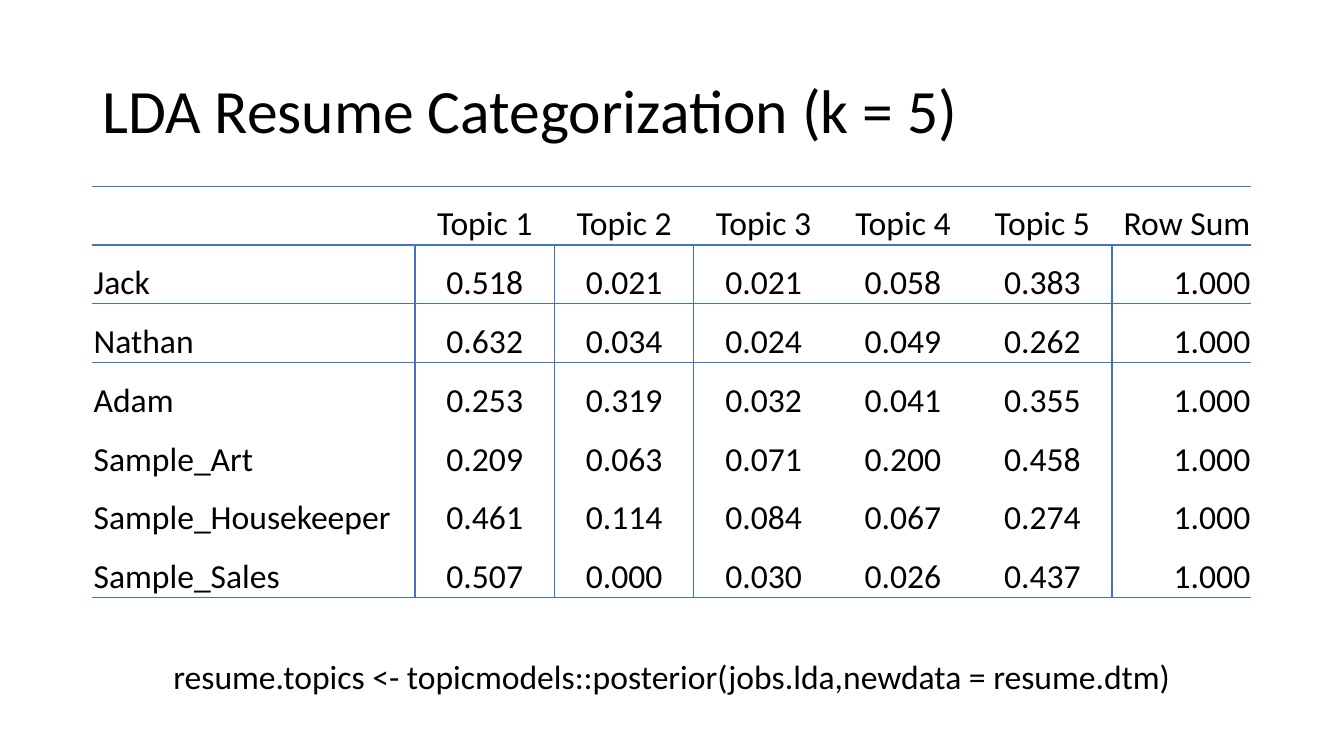
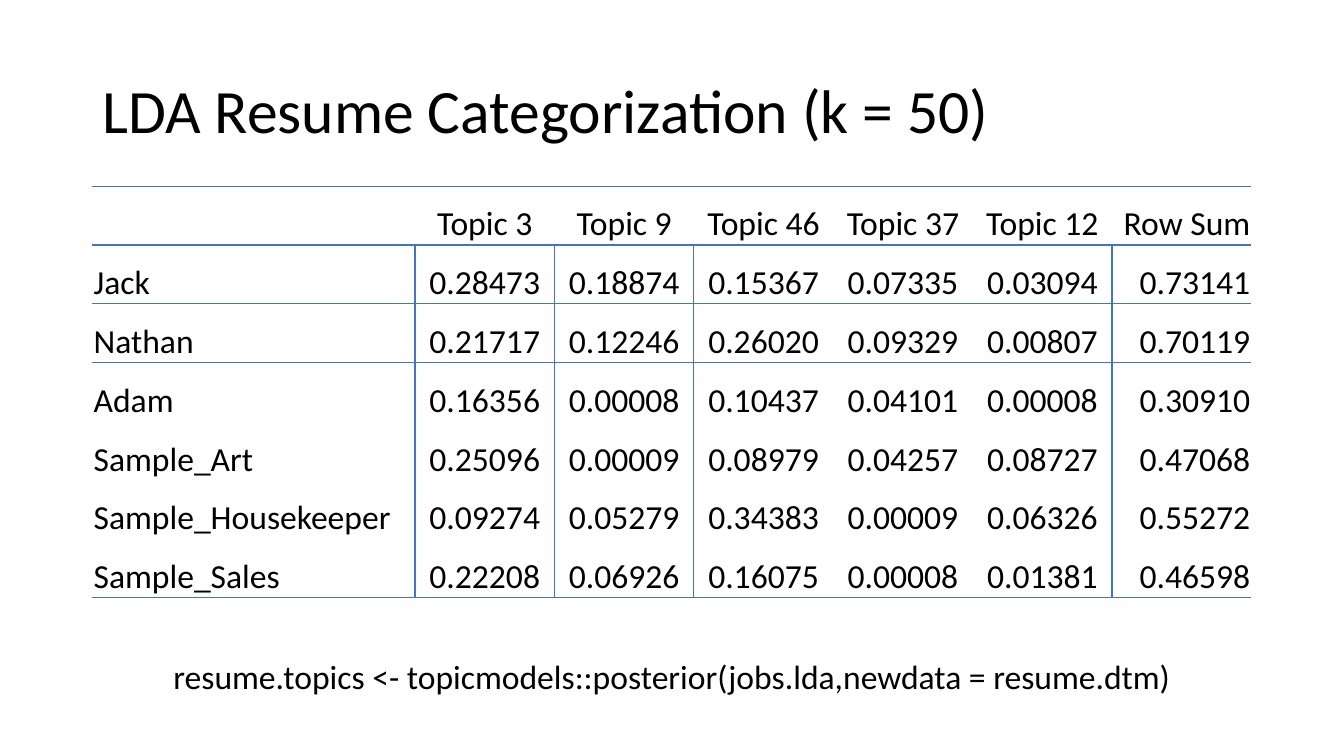
from dataclasses import dataclass

from lxml import etree
from pptx import Presentation
from pptx.dml.color import RGBColor
from pptx.enum.text import MSO_ANCHOR, MSO_AUTO_SIZE, PP_ALIGN
from pptx.oxml.ns import qn
from pptx.slide import Slide
from pptx.table import _Cell
from pptx.text.text import _Paragraph
from pptx.util import Cm, Pt

LEFT, CENTER, RIGHT = PP_ALIGN.LEFT, PP_ALIGN.CENTER, PP_ALIGN.RIGHT
MIDDLE, BOTTOM = MSO_ANCHOR.MIDDLE, MSO_ANCHOR.BOTTOM
GROW = MSO_AUTO_SIZE.SHAPE_TO_FIT_TEXT
FONT, INK, RULE = "Calibri", "000000", "4472C4"
PLAIN = "{2D5ABB26-0587-4C30-8999-92F81FD0307C}"
EDGE, WIDTH, NAMES = 2.33, 29.21, 8.13
PAD = 0.03
ACROSS = {0, 1, 2, 7}
DOWN = {1, 2, 6}
CODE = "resume.topics <- topicmodels::posterior(jobs.lda,newdata = resume.dtm)"
PEOPLE = ["Jack", "Nathan", "Adam", "Sample_Art", "Sample_Housekeeper", "Sample_Sales"]


@dataclass
class Page:
    title: str
    topics: list[int]
    scores: list[str]


PAGES = [
    Page("LDA Resume Categorization (k = 5)", [1, 2, 3, 4, 5], [
        "0.518 0.021 0.021 0.058 0.383 1.000",
        "0.632 0.034 0.024 0.049 0.262 1.000",
        "0.253 0.319 0.032 0.041 0.355 1.000",
        "0.209 0.063 0.071 0.200 0.458 1.000",
        "0.461 0.114 0.084 0.067 0.274 1.000",
        "0.507 0.000 0.030 0.026 0.437 1.000",
    ]),
    Page("LDA Resume Categorization (k = 50)", [3, 9, 46, 37, 12], [
        "0.28473 0.18874 0.15367 0.07335 0.03094 0.73141",
        "0.21717 0.12246 0.26020 0.09329 0.00807 0.70119",
        "0.16356 0.00008 0.10437 0.04101 0.00008 0.30910",
        "0.25096 0.00009 0.08979 0.04257 0.08727 0.47068",
        "0.09274 0.05279 0.34383 0.00009 0.06326 0.55272",
        "0.22208 0.06926 0.16075 0.00008 0.01381 0.46598",
    ]),
]


def color(code: str) -> RGBColor:
    return RGBColor.from_string(code)


def style(para: _Paragraph, size: int, align: PP_ALIGN) -> None:
    para.alignment = align
    para.font.name = FONT
    para.font.size = Pt(size)
    para.font.color.rgb = color(INK)


def title(slide: Slide, text: str) -> None:
    box = slide.shapes.add_textbox(Cm(EDGE), Cm(1.01), Cm(WIDTH), Cm(3.68))
    frame = box.text_frame
    frame.word_wrap = True
    frame.vertical_anchor = MIDDLE
    frame.text = text
    para = frame.paragraphs[0]
    para.line_spacing = 0.9
    style(para, 44, LEFT)


def code(slide: Slide) -> None:
    box = slide.shapes.add_textbox(Cm(EDGE), Cm(16.41), Cm(WIDTH), Cm(1.27))
    frame = box.text_frame
    frame.word_wrap = True
    frame.auto_size = GROW
    frame.text = CODE
    style(frame.paragraphs[0], 24, CENTER)


def border(cell: _Cell, row: int, col: int) -> None:
    sides = {
        "L": row > 0 and col in DOWN,
        "R": row > 0 and col + 1 in DOWN,
        "T": row in ACROSS,
        "B": row + 1 in ACROSS,
    }
    props = cell._tc.get_or_add_tcPr()
    for side, shown in sides.items():
        if shown:
            line = etree.SubElement(props, qn(f"a:ln{side}"), w=str(Pt(1)))
            fill = etree.SubElement(line, qn("a:solidFill"))
            etree.SubElement(fill, qn("a:srgbClr"), val=RULE)


def grid(slide: Slide, page: Page) -> None:
    head = ["", *(f"Topic {n}" for n in page.topics), "Row Sum"]
    body = [[name, *line.split()] for name, line in zip(PEOPLE, page.scores)]
    rows = [head, *body]
    last = len(head) - 1
    frame = slide.shapes.add_table(
        len(rows), len(head), Cm(EDGE), Cm(4.69), Cm(WIDTH), Cm(10.38))
    table = frame.table
    table.first_row = table.horz_banding = False
    table._tbl.tblPr.find(qn("a:tableStyleId")).text = PLAIN
    for col, item in enumerate(table.columns):
        item.width = Cm((WIDTH - NAMES) / last if col else NAMES)
    for row, texts in enumerate(rows):
        for col, text in enumerate(texts):
            cell = table.cell(row, col)
            cell.text = text
            cell.vertical_anchor = BOTTOM
            cell.margin_left = cell.margin_right = cell.margin_top = Cm(PAD)
            cell.margin_bottom = 0
            align = {0: LEFT, last: RIGHT}.get(col, CENTER)
            style(cell.text_frame.paragraphs[0], 24, align)
            border(cell, row, col)
            cell.fill.background()


deck = Presentation()
deck.slide_width, deck.slide_height = Cm(33.87), Cm(19.05)
for page in PAGES:
    slide = deck.slides.add_slide(deck.slide_layouts[6])
    title(slide, page.title)
    grid(slide, page)
    code(slide)
deck.save("out.pptx")
